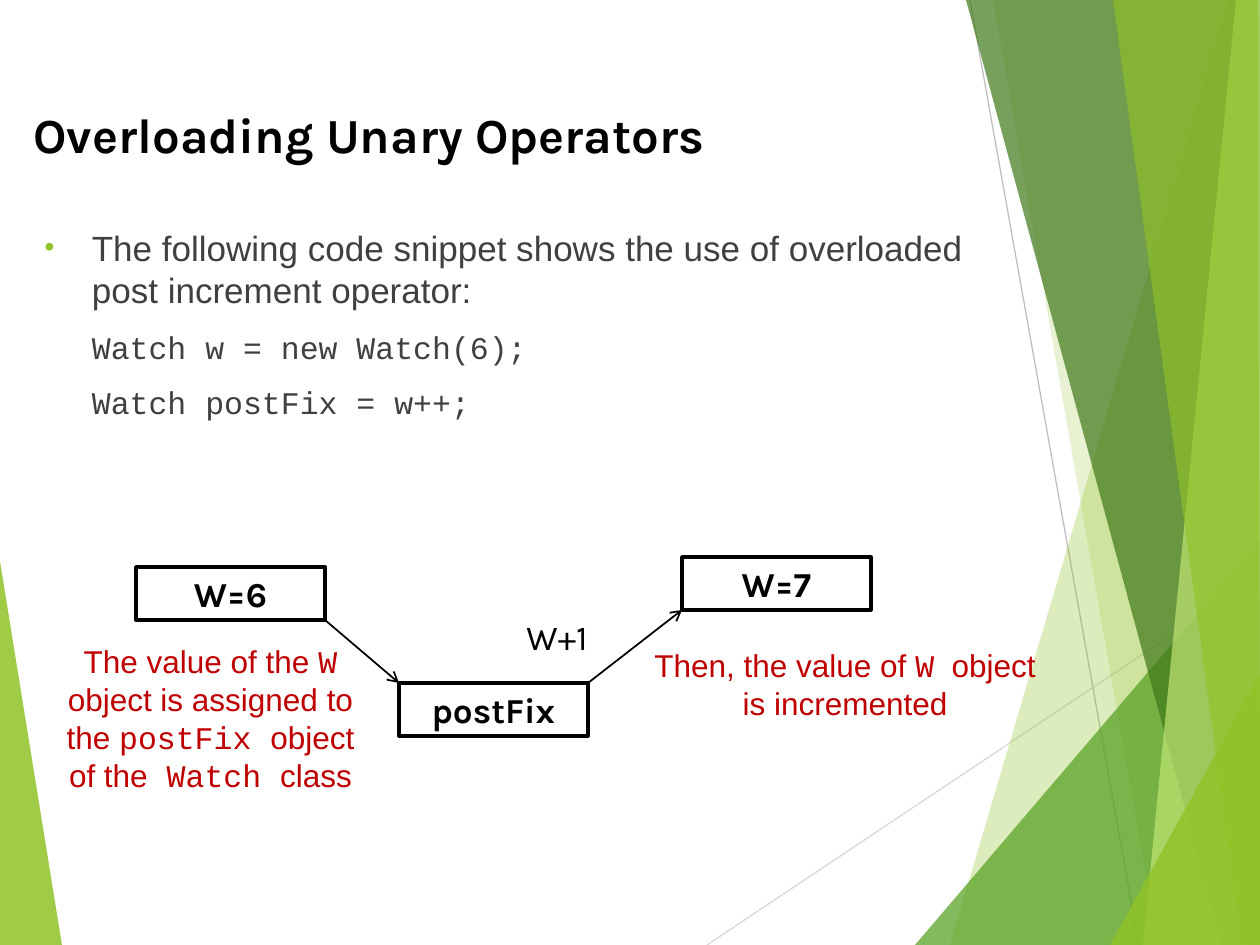
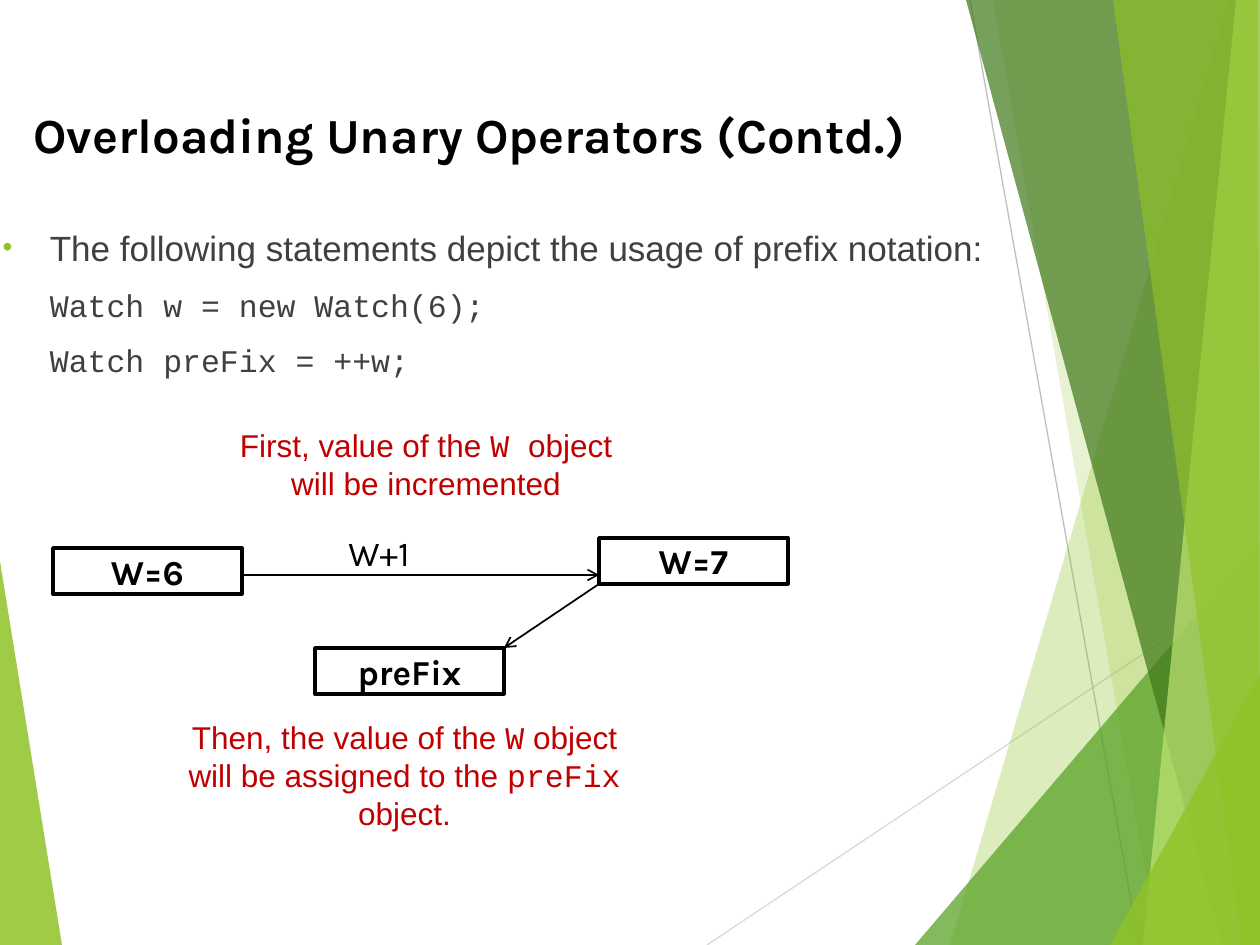
import pptx
import pptx.util
import pptx.dml.color
import pptx.enum.text
import pptx.enum.shapes
import pptx.oxml.ns
import lxml.etree

SCALE = 914400 / 126
WIDE, HIGH = 1260, 945
SANS, CODE, HEAD = "Arial", "Courier New", "Karla"
BLACK, WHITE, RED, GREY, LIME = "000000", "FFFFFF", "C00000", "404040", "90C226"
ALIGN = pptx.enum.text.PP_ALIGN
ANCHOR = pptx.enum.text.MSO_ANCHOR

BANDS = [
    (LIME, 85, [(0, 561), (62, 945), (0, 945)]),
    (LIME, 30, [(1229, 0), (950, 945), (1260, 945), (1260, 0)]),
    (LIME, 20, [(993, 0), (1158, 945), (1260, 945), (1260, 0)]),
    ("54A021", 72, [(915, 945), (1260, 541), (1260, 945)]),
    ("3F7819", 70, [(966, 0), (1222, 945), (1260, 945), (1260, 0)]),
    ("C0E474", 70, [(1236, 0), (1143, 945), (1260, 945), (1260, 0)]),
    (LIME, 65, [(1113, 0), (1242, 945), (1260, 945), (1258, 0)]),
    (LIME, 80, [(1110, 945), (1260, 674), (1260, 945)]),
]
RAYS = [("D9D9D9", (707, 945), (1260, 576)), ("BFBFBF", (970, 0), (1139, 945))]


def px(*vals):
    """Turn pixels into EMU lengths."""
    return [pptx.util.Emu(round(v * SCALE)) for v in vals]


def rgb(hue):
    """Turn a hex string into a colour."""
    return pptx.dml.color.RGBColor.from_string(hue)


def sub(node, tag, **attrs):
    """Add a drawing element below a node."""
    item = lxml.etree.SubElement(node, pptx.oxml.ns.qn(tag))
    for key, val in attrs.items():
        item.set(key, str(val))
    return item


def style(run, font, size, hue, bold=False):
    """Format one run."""
    run.font.name = font
    run.font.size = pptx.util.Pt(size)
    run.font.color.rgb = rgb(hue)
    run.font.bold = bold


def place(shape, x, y, w, h):
    """Move and size a shape in pixels."""
    shape.left, shape.top, shape.width, shape.height = px(x, y, w, h)


def line(slide, start, end, hue=BLACK, width=1, arrow=True):
    """Draw a straight line, with an arrowhead if asked."""
    kind = pptx.enum.shapes.MSO_CONNECTOR.STRAIGHT
    item = slide.shapes.add_connector(kind, *px(*start, *end))
    item.line.color.rgb = rgb(hue)
    item.line.width = pptx.util.Pt(width)
    if arrow:
        sub(item.line._get_or_add_ln(), "a:tailEnd", type="arrow")
    sub(item.element.spPr, "a:effectLst")
    return item


def band(slide, hue, alpha, points):
    """Draw one see-through polygon."""
    form = slide.shapes.build_freeform(*points[0], scale=SCALE)
    form.add_line_segments(points[1:], close=True)
    item = form.convert_to_shape()
    item.shadow.inherit = False
    item.fill.solid()
    item.fill.fore_color.rgb = rgb(hue)
    item.line.fill.background()
    tint = item.element.xpath("p:spPr/a:solidFill/a:srgbClr")[0]
    sub(tint, "a:alpha", val=alpha * 1000)
    return item


def facets(slide, layout):
    """Draw the green facets and hand them to the layout."""
    parts = [band(slide, *BANDS[0])]
    parts += [line(slide, a, b, hue, 0.75, False) for hue, a, b in RAYS]
    parts += [band(slide, *spec) for spec in BANDS[1:]]
    for i, part in enumerate(parts):
        part.element.xpath(".//p:cNvPr")[0].set("id", str(20 + i))
        layout.shapes.element.insert(2 + i, part.element)


def title(slide, text):
    """Fill the title placeholder."""
    item = slide.shapes.title
    place(item, 21, 98, 1176, 72)
    frame = item.text_frame
    frame.text = text
    frame.vertical_anchor = ANCHOR.MIDDLE
    frame.auto_size = pptx.enum.text.MSO_AUTO_SIZE.NONE
    frame.paragraphs[0].alignment = ALIGN.LEFT
    style(frame.paragraphs[0].runs[0], HEAD, 28, BLACK, True)


def body(slide, x, y, w, h, lines):
    """Fill the body with one bullet and the code lines below it."""
    item = slide.placeholders[1]
    place(item, x, y, w, h)
    frame = item.text_frame
    frame.text = "\n".join(lines)
    frame.auto_size = pptx.enum.text.MSO_AUTO_SIZE.NONE
    for i, para in enumerate(frame.paragraphs):
        para.space_before = pptx.util.Pt(10)
        props = para._p.get_or_add_pPr()
        props.set("marL", "342900")
        if i:
            props.set("indent", "0")
            sub(props, "a:buNone")
            style(para.runs[0], CODE, 18, GREY)
        else:
            props.set("indent", "-342900")
            sub(sub(props, "a:buClr"), "a:srgbClr", val=LIME)
            sub(props, "a:buSzPct", val=80000)
            sub(props, "a:buFont", typeface=SANS)
            sub(props, "a:buChar", char="\u2022")
            style(para.runs[0], SANS, 20, GREY)


def node(slide, x, y, h, text):
    """Draw a framed value."""
    kind = pptx.enum.shapes.MSO_SHAPE.RECTANGLE
    item = slide.shapes.add_shape(kind, *px(x, y, 189, h))
    item.shadow.inherit = False
    item.fill.solid()
    item.fill.fore_color.rgb = rgb(WHITE)
    item.line.color.rgb = rgb(BLACK)
    item.line.width = pptx.util.Pt(2)
    frame = item.text_frame
    frame.text = text
    frame.vertical_anchor = ANCHOR.MIDDLE
    frame.paragraphs[0].alignment = ALIGN.CENTER
    style(frame.paragraphs[0].runs[0], HEAD, 20, BLACK, True)


def label(slide, x, y, w, h):
    """Write the step beside an arrow."""
    frame = slide.shapes.add_textbox(*px(x, y, w, h)).text_frame
    frame.word_wrap = True
    frame.text = "W+1"
    style(frame.paragraphs[0].runs[0], HEAD, 20, BLACK)


def note(slide, x, y, w, h, text):
    """Write a red note; every second part between bars is code."""
    frame = slide.shapes.add_textbox(*px(x, y, w, h)).text_frame
    frame.word_wrap = True
    para = frame.paragraphs[0]
    para.alignment = ALIGN.CENTER
    for i, part in enumerate(text.split("|")):
        run = para.add_run()
        run.text = part
        style(run, CODE if i % 2 else SANS, 18, RED)


def postfix(slide, x, y):
    """Draw the postfix steps from a top left corner."""
    tall = 53
    node(slide, x + 546, y, tall, "W=7")
    node(slide, x, y + 10, tall, "W=6")
    node(slide, x + 263, y + 126, tall, "postFix")
    line(slide, (x + 189, y + 10 + tall), (x + 263, y + 126))
    line(slide, (x + 452, y + 126), (x + 546, y + tall))
    note(slide, x - 83, y + 79, 315, 165,
         "The value of the |W |object is assigned to the |postFix |object of the| Watch |class")
    note(slide, x + 504, y + 83, 410, 89,
         "Then, the value of |W|  object is incremented")
    label(slide, x + 378, y + 52, 147, 54)


def prefix(slide, x, y):
    """Draw the prefix steps from a top left corner."""
    tall = 46
    node(slide, x + 546, y, tall, "W=7")
    node(slide, x, y + 10, tall, "W=6")
    node(slide, x + 262, y + 110, tall, "preFix")
    line(slide, (x + 189, y + 37), (x + 546, y + 37))
    line(slide, (x + 546, y + tall), (x + 451, y + 110))
    note(slide, x + 168, y - 118, 410, 89,
         "First, value of the |W |object will be incremented")
    note(slide, x + 115, y + 174, 473, 127,
         "Then, the value of the |W| object will be assigned to the |preFix| object.")
    label(slide, x + 283, y - 13, 158, 48)


def main():
    """Build and save both slides."""
    deck = pptx.Presentation()
    deck.slide_width, deck.slide_height = px(WIDE, HIGH)
    layout = deck.slide_layouts[1]
    first, second = [deck.slides.add_slide(layout) for _ in range(2)]
    facets(first, layout)

    title(first, "Overloading Unary Operators")
    body(first, 32, 220, 1008, 630, [
        "The following code snippet shows the use of overloaded post increment operator:",
        "Watch w = new Watch(6);",
        "Watch postFix = w++;"])
    postfix(first, 136, 557)

    title(second, "Overloading Unary Operators (Contd.)")
    body(second, -10, 220, 1008, 158, [
        "The following statements depict the usage of prefix notation:",
        "Watch w = new Watch(6);",
        "Watch preFix = ++w;"])
    prefix(second, 53, 538)
    deck.save("out.pptx")


main()
